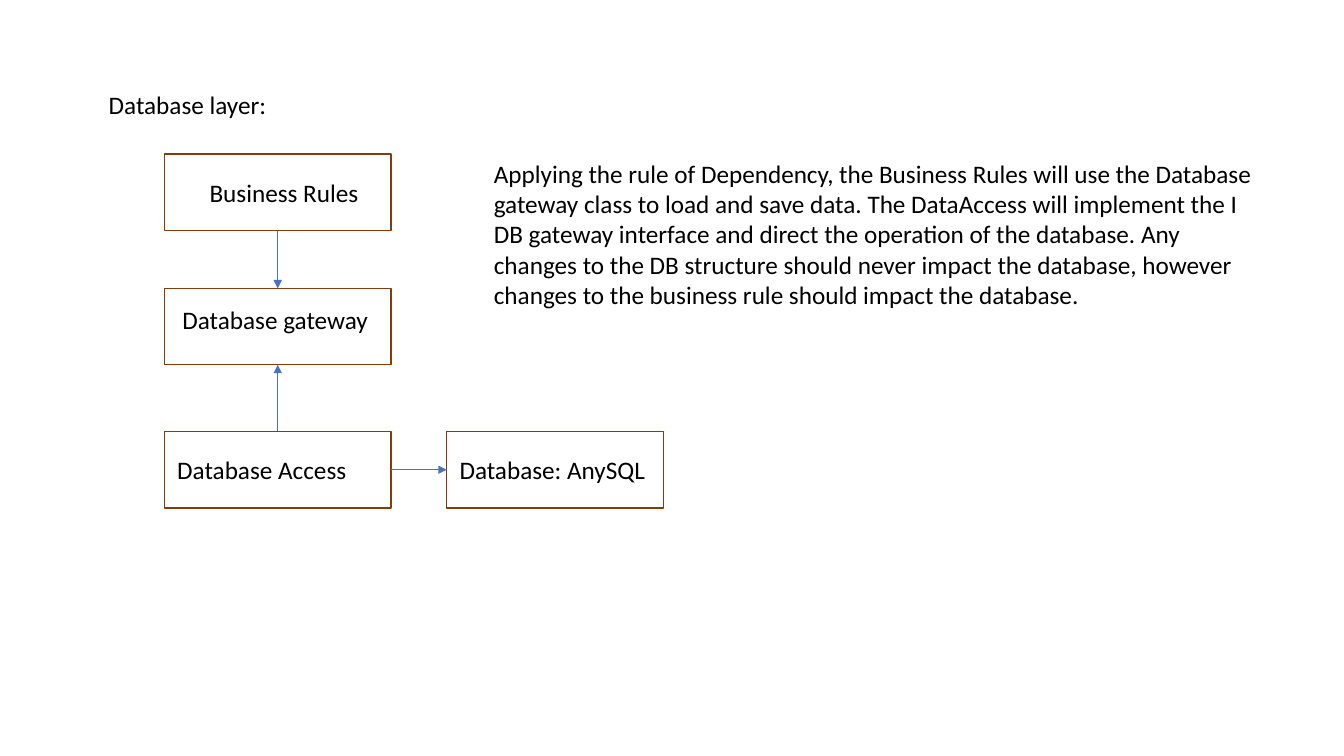
from pptx import Presentation
from pptx.dml.color import RGBColor
from pptx.enum.shapes import MSO_CONNECTOR as Connector, MSO_SHAPE as Shape
from pptx.enum.text import MSO_AUTO_SIZE as AutoSize, PP_ALIGN as Align
from pptx.oxml.ns import qn
from pptx.util import Inches, Pt
from lxml import etree

BLACK = RGBColor(0x00, 0x00, 0x00)
BROWN = RGBColor(0x84, 0x3C, 0x0B)
BLUE = RGBColor(0x44, 0x72, 0xC4)
TEXT_FORMAT = {"name": "Calibri", "size": Pt(18)}
BOX_HEIGHT = 0.76
LABEL_HEIGHT = 0.4
TOP, LEFT, BOTTOM, RIGHT = range(4)

deck = Presentation()
deck.slide_width, deck.slide_height = Inches(13.33), Inches(7.5)
page = deck.slides.add_slide(deck.slide_layouts[6])


def add_text(text, left, top, width, height, wrap=False, align=Align.LEFT):
    box = page.shapes.add_textbox(Inches(left), Inches(top), Inches(width), Inches(height))
    frame = box.text_frame
    frame.word_wrap = wrap
    frame.auto_size = AutoSize.SHAPE_TO_FIT_TEXT
    para = frame.paragraphs[0]
    para.alignment = align
    span = para.add_run()
    span.text = text
    for name, value in TEXT_FORMAT.items():
        setattr(span.font, name, value)
    span.font.color.rgb = BLACK


# Heading
add_text("Database layer:", 0.98, 0.84, 1.78, LABEL_HEIGHT)

# Layer boxes: key, left, top, width, then label text, left, top, width, alignment
layers = [
    ("rules", 1.63, 1.53, 2.25, "Business Rules", 1.98, 1.71, 1.69, Align.LEFT),
    ("gateway", 1.63, 2.86, 2.25, "Database gateway", 1.7, 2.97, 2.06, Align.CENTER),
    ("access", 1.63, 4.28, 2.25, "Database Access", 1.66, 4.46, 1.9, Align.LEFT),
    ("database", 4.43, 4.28, 2.15, "Database: AnySQL", 4.46, 4.46, 2.1, Align.LEFT),
]
boxes = {}
for key, left, top, width, label, label_left, label_top, label_width, align in layers:
    box = page.shapes.add_shape(
        Shape.RECTANGLE, Inches(left), Inches(top), Inches(width), Inches(BOX_HEIGHT))
    box.shadow.inherit = False
    box.fill.background()
    box.line.color.rgb = BROWN
    box.line.width = Pt(1)
    boxes[key] = box
    add_text(label, label_left, label_top, label_width, LABEL_HEIGHT, align=align)

# Dependency arrows
arrows = [
    ("rules", BOTTOM, "gateway", TOP),
    ("access", TOP, "gateway", BOTTOM),
    ("access", RIGHT, "database", LEFT),
]
for source, source_side, target, target_side in arrows:
    arrow = page.shapes.add_connector(Connector.STRAIGHT, 0, 0, 0, 0)
    arrow.begin_connect(boxes[source], source_side)
    arrow.end_connect(boxes[target], target_side)
    arrow.line.color.rgb = BLUE
    arrow.line.width = Pt(0.5)
    properties = arrow.element.spPr
    etree.SubElement(properties.find(qn("a:ln")), qn("a:tailEnd"), type="triangle")
    etree.SubElement(properties, qn("a:effectLst"))

# Explanation
add_text(
    "Applying the rule of Dependency, the Business Rules will use the Database gateway "
    "class to load and save data. The DataAccess will implement the I DB gateway "
    "interface and direct the operation of the database. Any changes to the DB structure "
    "should never impact the database, however changes to the business rule should "
    "impact the database.",
    4.8, 1.52, 7.74, 1.62, wrap=True)

deck.save("out.pptx")
